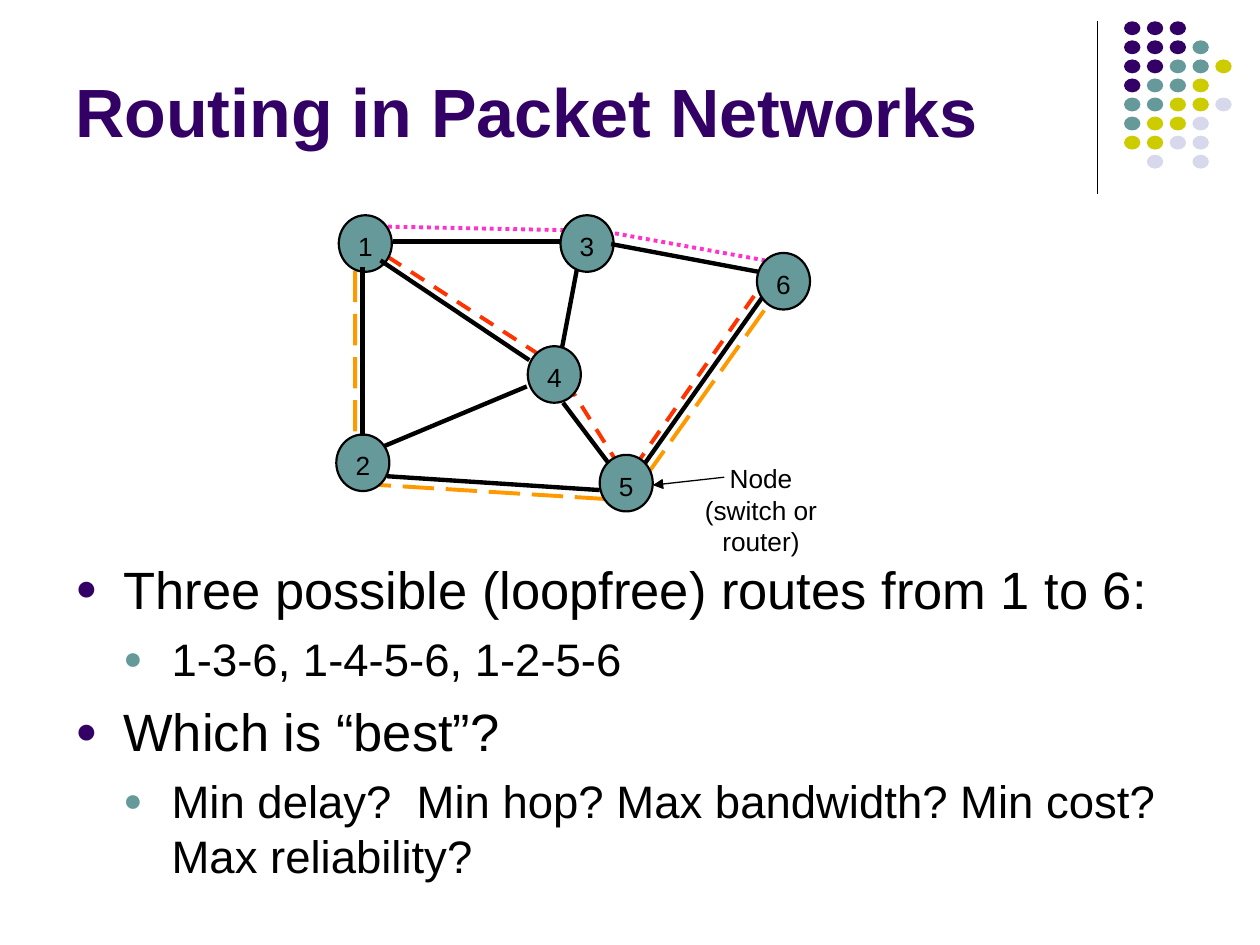
import pptx
import pptx.util
import pptx.dml.color
import pptx.enum.dml
import pptx.enum.shapes
import pptx.enum.text
import pptx.oxml.ns
from lxml import etree

Cm, Pt = pptx.util.Cm, pptx.util.Pt
ALIGN = pptx.enum.text.PP_ALIGN
ANCHOR = pptx.enum.text.MSO_ANCHOR
DASH = pptx.enum.dml.MSO_LINE
OVAL = pptx.enum.shapes.MSO_SHAPE.OVAL
STRAIGHT = pptx.enum.shapes.MSO_CONNECTOR.STRAIGHT

BLACK, PURPLE, TEAL, LIME, PALE = "000000", "330066", "669999", "CCCC00", "D8D8EC"

# One letter per dot, by row; a blank leaves a gap.
DOTS = ["PPP", "PPPT", "PPTTL", "PTTL", "TTLLG", "TLLG", "LLGG", " G G"]
DOT_HUES = {"P": PURPLE, "T": TEAL, "L": LIME, "G": PALE}

NODES = {"1": (0.05, 0), "2": (0, 4.42), "3": (4.52, 0),
         "4": (3.86, 2.64), "5": (5.31, 4.83), "6": (8.48, 0.76)}

LINKS = [((1.14, 0.53), (4.5, 0.53)), ((4.85, 1.09), (4.55, 2.67)),
         ((4.57, 3.78), (5.49, 5)), ((5.54, 0.58), (8.51, 1.14)),
         ((6.22, 5), (8.59, 1.65)), ((5.31, 5.54), (1.02, 5.26)),
         ((0.53, 1.04), (0.53, 4.45)), ((0.89, 0.91), (3.89, 2.92)),
         ((3.84, 3.45), (0.97, 4.65))]

ROUTES = [
    ("FF3300", DASH.DASH, [(1.04, 0.84), (4.06, 2.79), (4.78, 3.58), (5.64, 4.95),
                           (5.92, 5.03), (6.1, 4.95), (8.51, 1.5)]),
    ("FF33CC", DASH.ROUND_DOT, [(1.04, 0.23), (4.6, 0.3), (5.59, 0.36), (8.64, 0.91)]),
    ("FF9900", DASH.LONG_DASH, [(0.38, 1.12), (0.38, 4.47), (0.28, 5.16), (0.46, 5.38),
                                (0.91, 5.44), (5.41, 5.72), (5.94, 5.77), (6.25, 5.38),
                                (6.3, 5.18), (8.71, 1.8)]),
]

POINTS = [(0, "Three possible (loopfree) routes from 1 to 6:"),
          (1, "1-3-6, 1-4-5-6, 1-2-5-6"),
          (0, "Which is “best”?"),
          (1, "Min delay?  Min hop? Max bandwidth? Min cost? Max reliability?")]
# Size, space before and bullet colour for each level.
LEVELS = [(30, 7.5, PURPLE), (26, 6.5, TEAL)]


def hue(code):
    return pptx.dml.color.RGBColor.from_string(code)


def add_tag(parent, tag, **attrs):
    node = etree.SubElement(parent, pptx.oxml.ns.qn(tag))
    for name, value in attrs.items():
        node.set(name, str(value))
    return node


def add_run(para, text, size, color=BLACK, bold=False):
    run = para.add_run()
    run.text = text
    run.font.name = "Arial"
    run.font.size = Pt(size)
    run.font.bold = bold
    run.font.color.rgb = hue(color)


def add_line(slide, start, end, width):
    line = slide.shapes.add_connector(STRAIGHT, *(Cm(n) for n in start + end))
    line.line.color.rgb = hue(BLACK)
    line.line.width = Pt(width)
    add_tag(line._element.spPr, "a:effectLst")
    return line


def add_oval(slide, left, top, width, height, color):
    oval = slide.shapes.add_shape(OVAL, Cm(left), Cm(top), Cm(width), Cm(height))
    oval.shadow.inherit = False
    oval.fill.solid()
    oval.fill.fore_color.rgb = hue(color)
    oval.line.fill.background()
    return oval


def set_pad(frame, pad):
    frame.margin_left = frame.margin_right = Cm(pad)
    frame.margin_top = frame.margin_bottom = Cm(pad)


def add_text(slide, left, top, width, height):
    frame = slide.shapes.add_textbox(Cm(left), Cm(top), Cm(width), Cm(height)).text_frame
    frame.word_wrap = True
    return frame


def draw_dots(slide, left, top):
    """Draw the corner rule and the dots to its right."""
    add_line(slide, (left, top), (left, top + 3.48), 0.75)
    for row, marks in enumerate(DOTS):
        for col, mark in enumerate(marks):
            if mark in DOT_HUES:
                add_oval(slide, left + 0.54 + col * 0.46, top + row * 2.69 / 7,
                         0.33, 0.28, DOT_HUES[mark])


def draw_route(slide, left, top, color, dash, stops):
    spots = [(Cm(left + x), Cm(top + y)) for x, y in stops]
    build = slide.shapes.build_freeform(*spots[0])
    build.add_line_segments(spots[1:], close=False)
    route = build.convert_to_shape()
    route.shadow.inherit = False
    route.fill.background()
    route.line.color.rgb = hue(color)
    route.line.width = Pt(2.25)
    route.line.dash_style = dash


def draw_node(slide, left, top, name):
    node = add_oval(slide, left, top, 1.07, 1.14, TEAL)
    node.line.color.rgb = hue(BLACK)
    node.line.width = Pt(1.25)
    frame = node.text_frame
    set_pad(frame, 0)
    frame.margin_top = Cm(0.1)
    frame.word_wrap = False
    frame.vertical_anchor = ANCHOR.MIDDLE
    frame.paragraphs[0].alignment = ALIGN.CENTER
    add_run(frame.paragraphs[0], name, 15)


def draw_graph(slide, left, top):
    for route in ROUTES:
        draw_route(slide, left, top, *route)
    for name, (x, y) in NODES.items():
        draw_node(slide, left + x, top + y, name)
    for (x1, y1), (x2, y2) in LINKS:
        add_line(slide, (left + x1, top + y1), (left + x2, top + y2), 2.5)
    draw_note(slide, left + 6.38, top + 4.98)


def draw_note(slide, left, top):
    """Draw the node caption and its arrow, whose head is at the left edge."""
    frame = add_text(slide, left + 0.2, top, 3.96, 1.27)
    set_pad(frame, 0)
    frame.word_wrap = False
    for i, text in enumerate(["Node", "(switch or router)"]):
        para = frame.add_paragraph() if i else frame.paragraphs[0]
        para.alignment = ALIGN.CENTER
        add_run(para, text, 15)
    arrow = add_line(slide, (left + 1.44, top + 0.3), (left, top + 0.46), 0.75)
    add_tag(arrow.line._get_or_add_ln(), "a:tailEnd", type="triangle")


def draw_title(slide, left, top, width, height):
    frame = add_text(slide, left, top, width, height)
    frame.vertical_anchor = ANCHOR.BOTTOM
    add_run(frame.paragraphs[0], "Routing in Packet Networks", 39, PURPLE, True)


def draw_points(slide, left, top, width, height):
    frame = add_text(slide, left, top, width, height)
    for i, (level, text) in enumerate(POINTS):
        size, gap, color = LEVELS[level]
        para = frame.add_paragraph() if i else frame.paragraphs[0]
        para.level = level
        if i:
            para.space_before = Pt(gap)
        props = para._p.get_or_add_pPr()
        props.set("marL", str(Cm(0.97 * (level + 1))))
        props.set("indent", str(Cm(-0.97)))
        add_tag(add_tag(props, "a:buClr"), "a:srgbClr", val=color)
        add_tag(props, "a:buSzPct", val=70000)
        add_tag(props, "a:buFont", typeface="Arial")
        add_tag(props, "a:buChar", char="●")
        add_run(para, text, size)


def main():
    deck = pptx.Presentation()
    deck.slide_width, deck.slide_height = Cm(25.4), Cm(19.05)
    slide = deck.slides.add_slide(deck.slide_layouts[6])
    draw_dots(slide, 22.12, 0.43)
    draw_graph(slide, 6.78, 4.34)
    draw_title(slide, 1.27, 0.33, 20.96, 2.84)
    draw_points(slide, 1.27, 11.1, 22.86, 6.93)
    deck.save("out.pptx")


if __name__ == "__main__":
    main()
